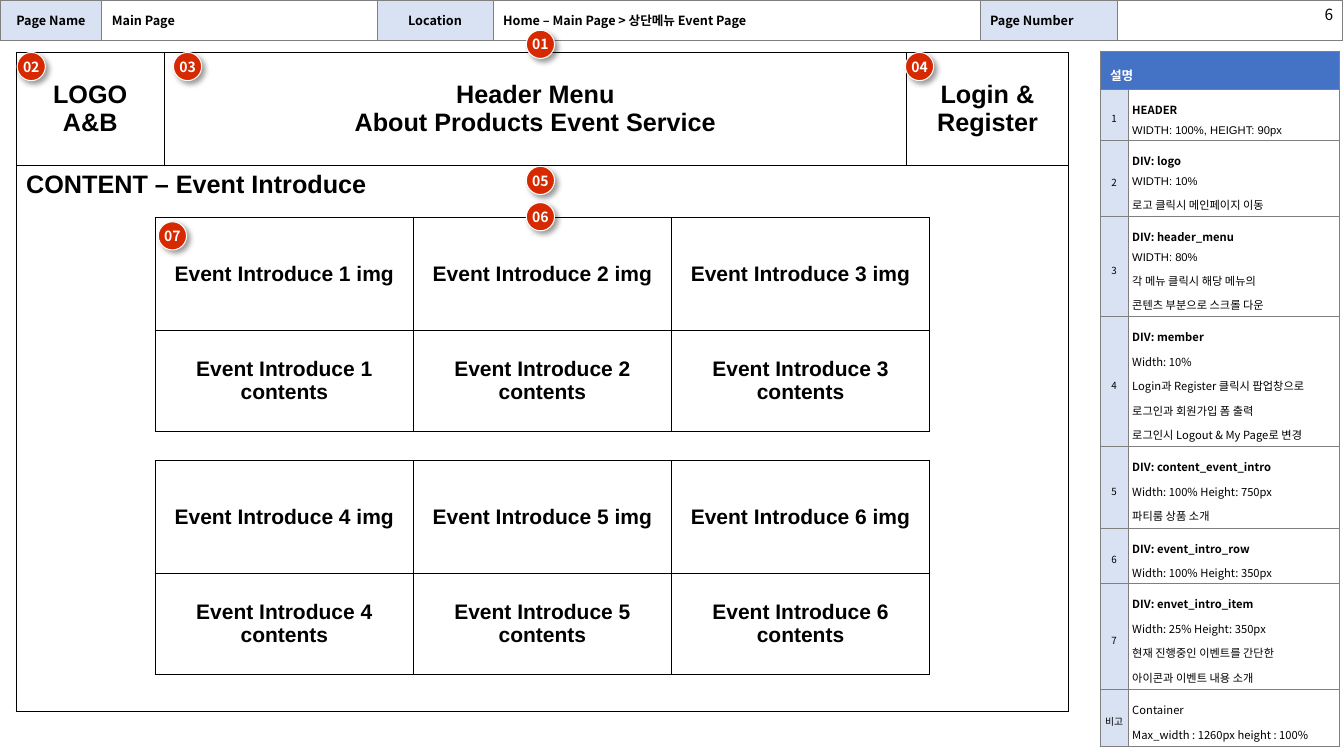
from lxml import etree
from pptx import Presentation
from pptx import util as u
from pptx.dml import color as dml
from pptx.enum import shapes, text
from pptx.oxml import ns

KOREAN = "Noto Sans CJK KR"
PALE, WHITE, BLACK, GREY = "D8E2F3", "FFFFFF", "000000", "7F7F7F"
CENTER, LEFT, RIGHT = text.PP_ALIGN.CENTER, text.PP_ALIGN.LEFT, text.PP_ALIGN.RIGHT
MIDDLE, TOP = text.MSO_ANCHOR.MIDDLE, text.MSO_ANCHOR.TOP

NOTES = [
    ("1", 0.5, "Arial", ["HEADER", "WIDTH: 100%, HEIGHT: 90px"]),
    ("2", 0.76, "Arial", ["DIV: logo", "WIDTH: 10%", "로고 클릭시 메인페이지 이동"]),
    ("3", 0.99, "Arial", ["DIV: header_menu", "WIDTH: 80%",
                          "각 메뉴 클릭시 해당 메뉴의", "콘텐츠 부분으로 스크롤 다운"]),
    ("4", 1.29, KOREAN, ["DIV: member", "Width: 10%", "Login과 Register 클릭시 팝업창으로",
                         "로그인과 회원가입 폼 출력", "로그인시 Logout & My Page로 변경"]),
    ("5", 0.81, KOREAN, ["DIV: content_event_intro", "Width: 100% Height: 750px",
                         "파티룸 상품 소개"]),
    ("6", 0.55, KOREAN, ["DIV: event_intro_row", "Width: 100% Height: 350px"]),
    ("7", 1.05, KOREAN, ["DIV: envet_intro_item", "Width: 25% Height: 350px",
                         "현재 진행중인 이벤트를 간단한", "아이콘과 이벤트 내용 소개"]),
    ("비고", 0.57, KOREAN, ["Container", "Max_width : 1260px height : 100%"]),
]


def rgb(value):
    """Turn a hex string into a colour."""
    return dml.RGBColor.from_string(value)


def add_line(frame, words, size=9, face=KOREAN, color=BLACK, bold=False, align=LEFT, spacing=None):
    """Add one formatted paragraph, using the empty first one if it is free."""
    para = frame.add_paragraph() if frame.text else frame.paragraphs[0]
    para.alignment = align
    if spacing:
        para.line_spacing = spacing
    span = para.add_run()
    span.text = words
    span.font.size, span.font.name, span.font.bold = u.Pt(size), face, bold
    span.font.color.rgb = rgb(color)
    east = etree.SubElement(span.font._element, ns.qn("a:ea"))
    east.set("typeface", KOREAN)


def style_cell(cell, fill, line, width, anchor=MIDDLE, margins=(0.1, 0.05)):
    """Set the borders, fill, anchor and margins of a cell."""
    properties = cell._tc.get_or_add_tcPr()
    for side in ("lnL", "lnR", "lnT", "lnB"):
        border = etree.SubElement(properties, ns.qn(f"a:{side}"), w=str(u.Pt(width)))
        solid = etree.SubElement(border, ns.qn("a:solidFill"))
        etree.SubElement(solid, ns.qn("a:srgbClr"), val=line)
    cell.fill.solid()
    cell.fill.fore_color.rgb = rgb(fill)
    cell.vertical_anchor = anchor
    cell.margin_left = cell.margin_right = u.Inches(margins[0])
    cell.margin_top = cell.margin_bottom = u.Inches(margins[1])


def add_grid(page, left, top, widths, heights):
    """Add a table with the given column widths and row heights."""
    box = [u.Inches(value) for value in (left, top, sum(widths), sum(heights))]
    table = page.shapes.add_table(len(heights), len(widths), *box).table
    table.first_row = table.horz_banding = False
    for column, width in zip(table.columns, widths):
        column.width = u.Inches(width)
    for row, height in zip(table.rows, heights):
        row.height = u.Inches(height)
    return table


def add_page_bar(page, left, top):
    """Draw the bar with page name, location and page number."""
    labels = ["Page Name", "Main Page", "Location",
              "Home – Main Page > 상단메뉴 Event Page", "Page Number", ""]
    table = add_grid(page, left, top, [1.01, 2.73, 1.15, 4.83, 1.36, 2.24], [0.28])
    for index, label in enumerate(labels):
        cell = table.cell(0, index)
        style_cell(cell, WHITE if index % 2 else PALE, GREY, 0.75)
        if label:
            add_line(cell.text_frame, label, bold=True, align=CENTER if index in (0, 2) else LEFT)
    box = page.shapes.add_textbox(*map(u.Inches, (left + 11.07, top, 2.25, 0.25)))
    box.text_frame.word_wrap = True
    add_line(box.text_frame, "6", size=11, align=RIGHT)


def add_description(page, left, top):
    """Draw the numbered description table."""
    table = add_grid(page, left, top, [0.28, 2.1], [0.38] + [note[1] for note in NOTES])
    table.cell(0, 0).merge(table.cell(0, 1))
    for column in range(2):
        style_cell(table.cell(0, column), "4472C4", GREY, 0.75)
    add_line(table.cell(0, 0).text_frame, "설명", color=WHITE, bold=True, spacing=1.5)
    for row, (number, _, face, lines) in enumerate(NOTES, 1):
        key, detail = table.cell(row, 0), table.cell(row, 1)
        style_cell(key, PALE, GREY, 0.75, margins=(0, 0.05))
        style_cell(detail, WHITE, GREY, 0.75, margins=(0.04, 0.04))
        add_line(key.text_frame, number, size=7, align=CENTER, spacing=1.5)
        add_line(detail.text_frame, lines[0], size=8, bold=number != "비고", spacing=1.5)
        for line in lines[1:]:
            add_line(detail.text_frame, line, size=8, face=face, spacing=1.5)


def add_wireframe(page, left, top):
    """Draw the outer layout with header cells and content area."""
    table = add_grid(page, left, top, [1.47, 7.36, 1.61], [1.12, 5.42])
    headers = [("LOGO", "A&B"), ("Header Menu", "About Products Event Service"),
               ("Login &", "Register")]
    table.cell(1, 0).merge(table.cell(1, 2))
    for column, lines in enumerate(headers):
        style_cell(table.cell(0, column), WHITE, BLACK, 0.75)
        style_cell(table.cell(1, column), WHITE, BLACK, 0.75, anchor=TOP)
        for line in lines:
            add_line(table.cell(0, column).text_frame, line, 18, "Arial", bold=True, align=CENTER)
    add_line(table.cell(1, 0).text_frame, "CONTENT – Event Introduce", 18, "Arial", bold=True)


def add_event_row(page, left, top, first):
    """Draw three event items, numbered from the first one."""
    table = add_grid(page, left, top, [2.56] * 3, [1.12, 1])
    for column in range(3):
        name = f"Event Introduce {first + column}"
        for row, lines in enumerate([[f"{name} img"], [name, "contents"]]):
            cell = table.cell(row, column)
            style_cell(cell, WHITE, BLACK, 1)
            for line in lines:
                add_line(cell.text_frame, line, 15, "Arial", bold=True, align=CENTER)


def add_badge(page, left, top, number):
    """Draw a round red number marker with a soft shadow."""
    box = map(u.Inches, (left, top, 0.28, 0.28))
    badge = page.shapes.add_shape(shapes.MSO_SHAPE.OVAL, *box)
    badge.shadow.inherit = False
    badge.fill.solid()
    badge.fill.fore_color.rgb = rgb("D62900")
    badge.line.color.rgb = rgb(WHITE)
    badge.line.width = u.Pt(0.75)
    effects = badge.element.spPr.find(ns.qn("a:effectLst"))
    shadow = etree.SubElement(effects, ns.qn("a:outerShdw"), blurRad=str(u.Pt(4)),
                              dist=str(u.Pt(3)), dir="2700000", algn="tl", rotWithShape="0")
    tint = etree.SubElement(shadow, ns.qn("a:srgbClr"), val=BLACK)
    etree.SubElement(tint, ns.qn("a:alpha"), val="40000")
    frame = badge.text_frame
    frame.margin_left = frame.margin_right = frame.margin_top = frame.margin_bottom = 0
    frame.vertical_anchor = MIDDLE
    frame.word_wrap = False
    add_line(frame, f"{number:02}", size=10, color=WHITE, bold=True, align=CENTER)


def main():
    """Build and save the slide."""
    deck = Presentation()
    deck.slide_width, deck.slide_height = u.Inches(13.33), u.Inches(7.5)
    page = deck.slides.add_slide(deck.slide_layouts[6])
    add_page_bar(page, 0, 0)
    add_description(page, 10.91, 0.51)
    add_wireframe(page, 0.16, 0.52)
    for top, first in ((2.16, 1), (4.57, 4)):
        add_event_row(page, 1.54, top, first)
    spots = [(5.22, 0.3), (0.17, 0.52), (1.72, 0.52), (8.98, 0.52),
             (5.22, 1.65), (5.22, 2.01), (1.57, 2.2)]
    for number, (left, top) in enumerate(spots, 1):
        add_badge(page, left, top, number)
    deck.save("out.pptx")


if __name__ == "__main__":
    main()
